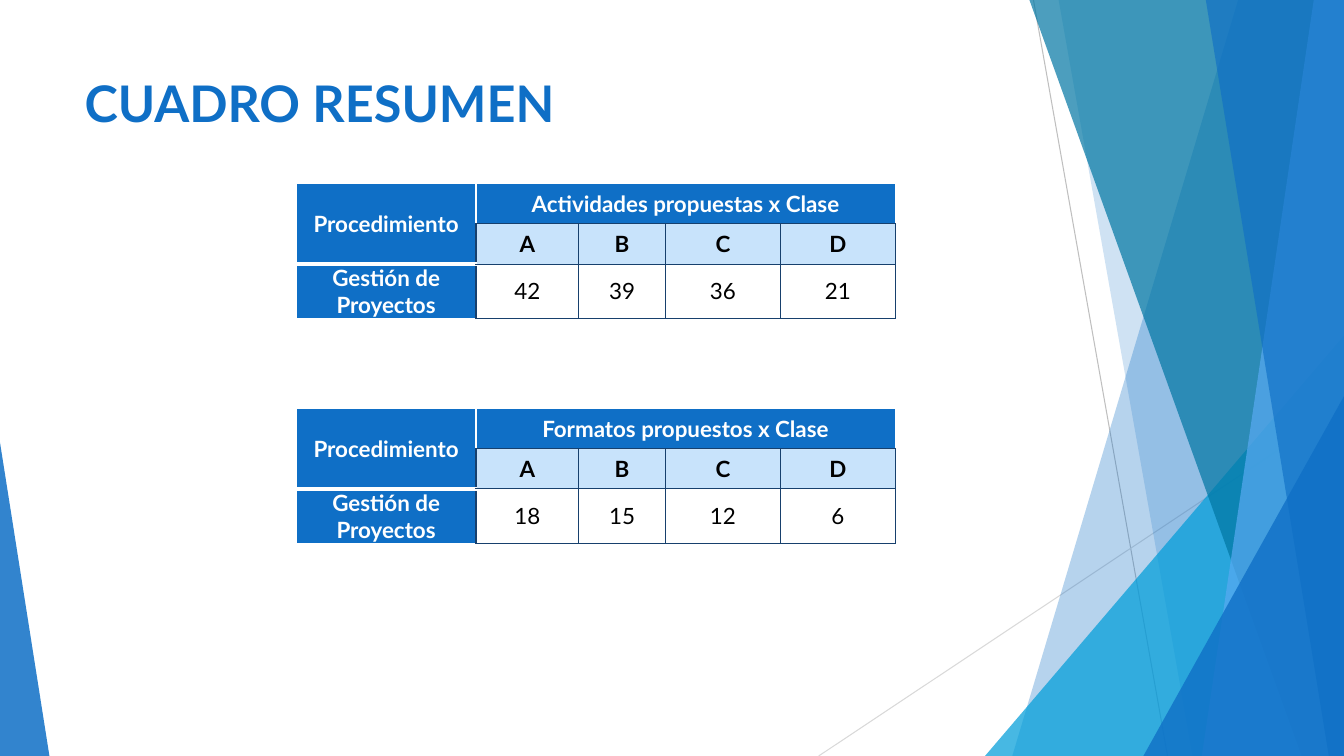
import dataclasses

import lxml.etree
import pptx
import pptx.dml.color
import pptx.enum.shapes
import pptx.enum.text
import pptx.oxml
import pptx.oxml.ns
import pptx.util

Inches = pptx.util.Inches
qn = pptx.oxml.ns.qn


@dataclasses.dataclass(frozen=True)
class Theme:
    """Colours, font and type sizes of the slide."""
    blue: str = "0F6FC6"
    cyan: str = "009DD9"
    teal: str = "0076A3"
    sky: str = "59AAF2"
    pale: str = "C8E3FB"
    navy: str = "17406D"
    white: str = "FFFFFF"
    black: str = "000000"
    grey: str = "BFBFBF"
    light_grey: str = "D9D9D9"
    font: str = "Lato"
    title_size: int = 36
    table_size: int = 16


THEME = Theme()
WIDTH, HEIGHT = 13.33, 7.5


def rgb(colour):
    """Return the RGB colour for a hex string."""
    return pptx.dml.color.RGBColor.from_string(colour)


def paint(shape, colour, opacity):
    """Give a shape a translucent fill with no line or shadow."""
    shape.shadow.inherit = False
    shape.line.fill.background()
    shape.fill.solid()
    shape.fill.fore_color.rgb = rgb(colour)
    tint = shape.fill._xPr.find(".//" + qn("a:srgbClr"))
    lxml.etree.SubElement(tint, qn("a:alpha")).set("val", str(opacity * 1000))


def add_text(paragraph, text, size, colour, bold):
    """Add one formatted run to a paragraph."""
    run = paragraph.add_run()
    run.text = text
    run.font.name = THEME.font
    run.font.size = pptx.util.Pt(size)
    run.font.bold = bold
    run.font.color.rgb = rgb(colour)


def add_hairline(slide, start, end, colour):
    """Draw a thin straight line between two points."""
    line = slide.shapes.add_connector(
        pptx.enum.shapes.MSO_CONNECTOR.STRAIGHT, *map(Inches, start + end))
    line.line.color.rgb = rgb(colour)
    line.line.width = pptx.util.Pt(0.75)
    lxml.etree.SubElement(line._element.spPr, qn("a:effectLst"))


def add_band(slide, top_x, bottom_x, colour, opacity):
    """Fill the area from a slanted edge to the right side of the slide."""
    corners = [(top_x, 0), (WIDTH, 0), (WIDTH, HEIGHT), (bottom_x, HEIGHT)]
    points = [(Inches(x), Inches(y)) for x, y in corners]
    outline = slide.shapes.build_freeform(*points[0])
    outline.add_line_segments(points[1:], close=True)
    paint(outline.convert_to_shape(), colour, opacity)


def add_corner(slide, left, width, height, apex, colour, opacity):
    """Stand a triangle on the bottom edge of the slide."""
    corner = slide.shapes.add_shape(
        pptx.enum.shapes.MSO_SHAPE.ISOSCELES_TRIANGLE, Inches(left),
        Inches(HEIGHT - height), Inches(width), Inches(height))
    corner.adjustments[0] = apex
    paint(corner, colour, opacity)


def add_backdrop(slide):
    """Draw the faceted decoration from back to front."""
    add_hairline(slide, (10.25, 0), (11.58, HEIGHT), THEME.grey)
    add_hairline(slide, (WIDTH, 4.03), (8.12, HEIGHT), THEME.light_grey)
    add_band(slide, 12.28, 10.04, THEME.blue, 30)
    add_band(slide, 10.5, 11.83, THEME.blue, 20)
    add_corner(slide, 9.77, 3.56, 4.17, 1, THEME.cyan, 72)
    add_band(slide, 10.21, 12.91, THEME.teal, 70)
    add_band(slide, 13.03, 11.92, THEME.sky, 70)
    add_band(slide, 11.96, 13.18, THEME.blue, 65)
    add_corner(slide, 11.34, 1.99, 3.57, 1, THEME.blue, 80)
    add_corner(slide, 0, 0.49, 3.11, 0, THEME.blue, 85)


def add_title(slide, left, top, width, height, text):
    """Place the slide title."""
    title = slide.shapes.add_textbox(*map(Inches, (left, top, width, height)))
    title.text_frame.word_wrap = True
    add_text(title.text_frame.paragraphs[0], text, THEME.title_size,
             THEME.blue, True)


def set_borders(cell, borders):
    """Set the left, right, top and bottom borders as (colour, points)."""
    properties = cell._tc.get_or_add_tcPr()
    for index, (side, (colour, points)) in enumerate(zip("LRTB", borders)):
        edge = pptx.oxml.parse_xml(
            f'<a:ln{side} {pptx.oxml.ns.nsdecls("a")} w="{points * 12700}">'
            f'<a:solidFill><a:srgbClr val="{colour}"/></a:solidFill>'
            f'</a:ln{side}>')
        properties.insert(index, edge)


def style_cell(cell, fill, borders):
    """Set the fill, margins, anchor and borders of a cell."""
    cell.fill.solid()
    cell.fill.fore_color.rgb = rgb(fill)
    cell.margin_left = cell.margin_right = Inches(0.07)
    cell.margin_top = cell.margin_bottom = 0
    cell.vertical_anchor = pptx.enum.text.MSO_ANCHOR.MIDDLE
    set_borders(cell, borders)


def add_summary(slide, left, top, heading, counts):
    """Place a table of counts by class."""
    columns, rows = [1.78, 1.02, 0.86, 1.14, 1.14], [0.4, 0.4, 0.54]
    table = slide.shapes.add_table(
        len(rows), len(columns), Inches(left), Inches(top),
        Inches(sum(columns)), Inches(sum(rows))).table
    table.first_row = table.horz_banding = False
    for column, width in zip(table.columns, columns):
        column.width = Inches(width)
    for row, height in zip(table.rows, rows):
        row.height = Inches(height)

    white, navy = (THEME.white, 1), (THEME.navy, 1)
    procedure = (THEME.blue, [white, white, white, (THEME.white, 3)])
    banner = (THEME.blue, [white, white, white, navy])
    project = (THEME.blue, [white, navy, white, white])
    label = (THEME.pale, [navy] * 4)
    count = (THEME.white, [navy] * 4)
    styles = [[procedure] + [banner] * 4,
              [procedure] + [label] * 4,
              [project] + [count] * 4]
    texts = [["Procedimiento", heading, "", "", ""],
             ["", "A", "B", "C", "D"],
             ["Gestión de Proyectos", *map(str, counts)]]
    table.cell(0, 0).merge(table.cell(1, 0))
    table.cell(0, 1).merge(table.cell(0, 4))
    for r, row in enumerate(texts):
        for c, text in enumerate(row):
            cell = table.cell(r, c)
            fill, borders = styles[r][c]
            style_cell(cell, fill, borders)
            if text:
                paragraph = cell.text_frame.paragraphs[0]
                paragraph.alignment = pptx.enum.text.PP_ALIGN.CENTER
                colour = THEME.white if fill == THEME.blue else THEME.black
                add_text(paragraph, text, THEME.table_size, colour,
                         fill != THEME.white)


def main():
    """Build and save the summary slide."""
    deck = pptx.Presentation()
    deck.slide_width, deck.slide_height = Inches(WIDTH), Inches(HEIGHT)
    slide = deck.slides.add_slide(deck.slide_layouts[6])
    add_backdrop(slide)
    add_summary(slide, 2.94, 1.82, "Actividades propuestas x Clase",
                [42, 39, 36, 21])
    add_title(slide, 0.74, 0.67, 9.4, 1.44, "CUADRO RESUMEN")
    add_summary(slide, 2.94, 4.05, "Formatos propuestos x Clase",
                [18, 15, 12, 6])
    deck.save("out.pptx")


if __name__ == "__main__":
    main()
